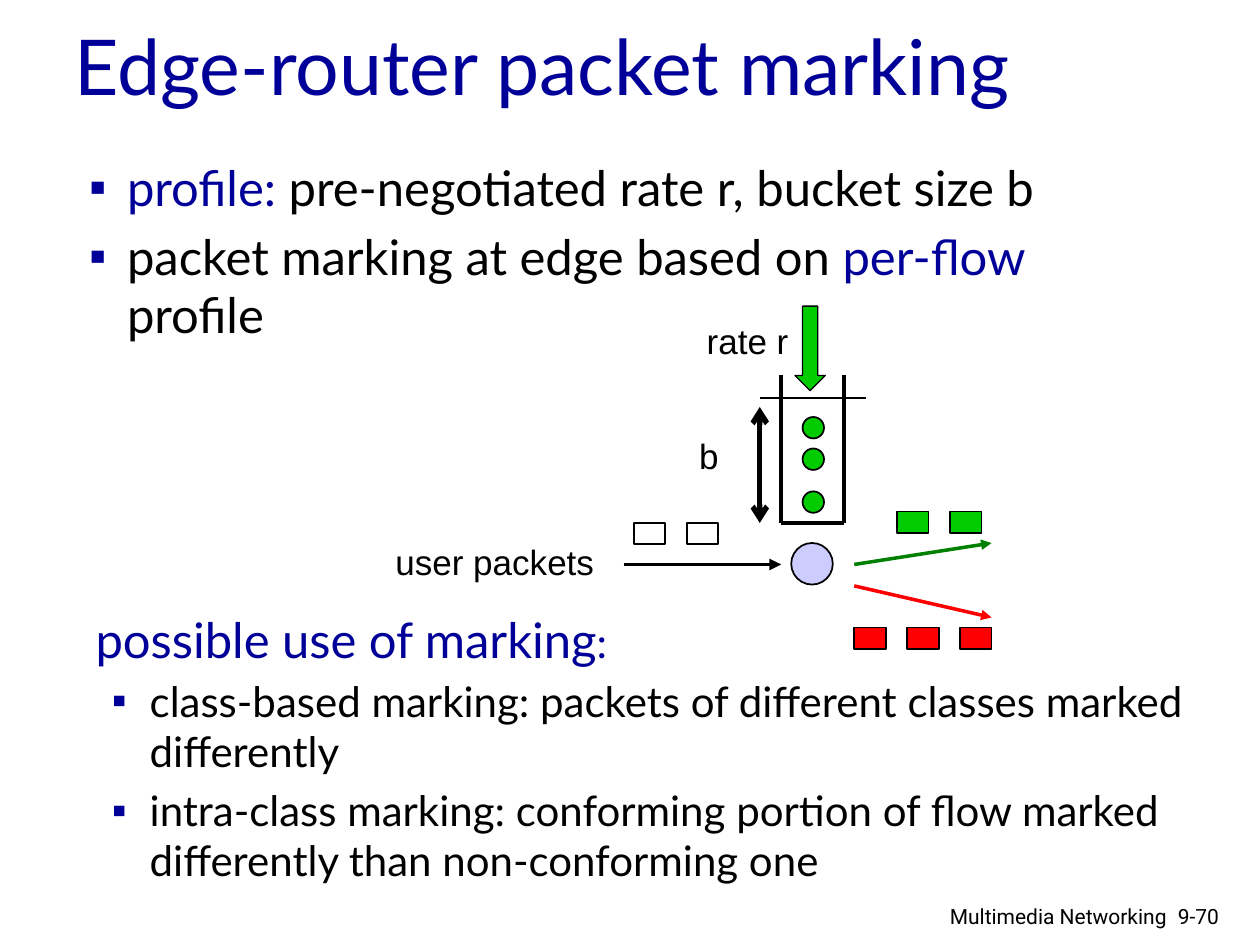
from dataclasses import dataclass

from lxml.etree import SubElement
from pptx import Presentation
from pptx.dml.color import RGBColor
from pptx.enum.shapes import MSO_CONNECTOR, MSO_SHAPE
from pptx.enum.text import MSO_ANCHOR, PP_ALIGN
from pptx.oxml.ns import qn
from pptx.util import Inches, Pt


@dataclass(frozen=True)
class Theme:
    navy: str = "000099"
    black: str = "000000"
    white: str = "FFFFFF"
    green: str = "00CC00"
    dark_green: str = "008000"
    red: str = "FF0000"
    lavender: str = "CCCCFF"
    body_font: str = "Lato"
    label_font: str = "Arial"
    footer_font: str = "Roboto"
    title_size: int = 44
    body_size: int = 28
    detail_size: int = 24
    label_size: int = 20
    footer_size: int = 12


def rgb(color):
    return RGBColor.from_string(color)


class SlideBuilder:
    def __init__(self, slide, theme):
        self.slide = slide
        self.theme = theme

    def style(self, paragraph, font, size, color):
        paragraph.font.name = font
        paragraph.font.size = Pt(size)
        paragraph.font.color.rgb = rgb(color)

    def title(self, text, left, top, width, height):
        shape = self.slide.shapes.title
        shape.left, shape.top = Inches(left), Inches(top)
        shape.width, shape.height = Inches(width), Inches(height)
        shape.text_frame.text = text
        shape.text_frame.vertical_anchor = MSO_ANCHOR.MIDDLE
        paragraph = shape.text_frame.paragraphs[0]
        paragraph.alignment = PP_ALIGN.LEFT
        self.style(paragraph, self.theme.body_font, self.theme.title_size, self.theme.navy)

    def text(self, paragraphs, left, top, width, height, font, size,
             bullets=False, alignment=PP_ALIGN.LEFT):
        """Each paragraph is a list of (text, color) runs."""
        shape = self.slide.shapes.add_textbox(
            Inches(left), Inches(top), Inches(width), Inches(height))
        frame = shape.text_frame
        frame.word_wrap = True
        for index, runs in enumerate(paragraphs):
            paragraph = frame.add_paragraph() if index else frame.paragraphs[0]
            paragraph.alignment = alignment
            self.style(paragraph, font, size, runs[0][1])
            for content, color in runs:
                run = paragraph.add_run()
                run.text = content
                if color != runs[0][1]:
                    run.font.color.rgb = rgb(color)
            if bullets:
                paragraph.space_before = Pt(0.2 * size)
                self.bullet(paragraph)
        return shape

    def bullet(self, paragraph):
        properties = paragraph._p.get_or_add_pPr()
        properties.set("marL", str(Inches(0.3)))
        properties.set("indent", str(-Inches(0.3)))
        # Bullet elements must precede the default run properties
        run_properties = properties.find(qn("a:defRPr"))
        if run_properties is not None:
            properties.remove(run_properties)
        color = SubElement(properties, qn("a:buClr"))
        SubElement(color, qn("a:srgbClr"), val=self.theme.navy)
        SubElement(properties, qn("a:buFont"), typeface=self.theme.label_font)
        SubElement(properties, qn("a:buChar"), char="▪")
        if run_properties is not None:
            properties.append(run_properties)

    def label(self, text, left, top, width, height=0.43):
        self.text([[(text, self.theme.black)]], left, top, width, height,
                  self.theme.label_font, self.theme.label_size)

    def shape(self, kind, left, top, width, height, fill, line_width=1):
        shape = self.slide.shapes.add_shape(
            kind, Inches(left), Inches(top), Inches(width), Inches(height))
        shape.shadow.inherit = False
        shape.fill.solid()
        shape.fill.fore_color.rgb = rgb(fill)
        shape.line.color.rgb = rgb(self.theme.black)
        shape.line.width = Pt(line_width)

    def packets(self, count, left, top, fill):
        for index in range(count):
            self.shape(MSO_SHAPE.RECTANGLE, left + 0.42 * index, top, 0.25, 0.17, fill)

    def line(self, start, end, width, color=None, head=None, tail=None):
        connector = self.slide.shapes.add_connector(
            MSO_CONNECTOR.STRAIGHT, *(Inches(value) for value in (*start, *end)))
        connector.line.color.rgb = rgb(color or self.theme.black)
        connector.line.width = Pt(width)
        outline = connector.line._get_or_add_ln()
        for tag, arrow in (("a:headEnd", head), ("a:tailEnd", tail)):
            if arrow:
                SubElement(outline, qn(tag), type=arrow)
        SubElement(connector._element.spPr, qn("a:effectLst"))


presentation = Presentation()
presentation.slide_width, presentation.slide_height = Inches(10), Inches(7.5)
theme = Theme()
slide = presentation.slides.add_slide(presentation.slide_layouts[5])
builder = SlideBuilder(slide, theme)

# Title and body text
builder.title("Edge-router packet marking", 0.49, 0.14, 8.5, 0.75)
builder.text(
    [[("profile: ", theme.navy), ("pre-negotiated rate r, bucket size b", theme.black)],
     [("packet marking at edge based on ", theme.black), ("per-flow ", theme.navy),
      ("profile", theme.black)]],
    0.61, 1.2, 8.75, 1, theme.body_font, theme.body_size, bullets=True)
uses_heading = builder.text(
    [[("possible use of marking", theme.navy), (":", theme.navy)]],
    0.66, 4.79, 4.92, 0.57, theme.body_font, theme.body_size)
uses_heading.text_frame.paragraphs[0].runs[1].font.size = Pt(theme.detail_size)
builder.text(
    [[("class-based marking: packets of different classes marked differently", theme.black)],
     [("intra-class marking: conforming portion of flow marked differently "
       "than non-conforming one", theme.black)]],
    0.79, 5.31, 9, 2, theme.body_font, theme.detail_size, bullets=True)

# Token bucket
bucket_left, bucket_right, bucket_bottom = 6.2, 6.7, 4.15
for side in (bucket_left, bucket_right):
    builder.line((side, 3.4), (side, bucket_bottom), 2.25)
    builder.line((side, 3.4), (side, 2.98), 2)
builder.line((bucket_left, bucket_bottom), (bucket_right, bucket_bottom), 2.25)
for token_top in (3.31, 3.56, 3.9):
    builder.shape(MSO_SHAPE.OVAL, 6.37, token_top, 0.17, 0.17, theme.green)
builder.shape(MSO_SHAPE.DOWN_ARROW, 6.31, 2.43, 0.24, 0.67, theme.green, 0.75)
builder.line((6.03, 3.16), (6.87, 3.16), 0.75)
builder.line((6.03, 3.23), (6.03, bucket_bottom), 3, head="arrow", tail="arrow")
builder.label("rate r", 5.51, 2.49, 1.25)
builder.label("b", 5.45, 3.4, 0.38)

# Packet flows through the marker
builder.label("user packets", 3.04, 4.24, 2.33)
builder.shape(MSO_SHAPE.OVAL, 6.28, 4.31, 0.33, 0.33, theme.lavender)
builder.packets(2, 5.03, 4.15, theme.white)
builder.packets(2, 7.12, 4.06, theme.green)
builder.packets(3, 6.78, 4.98, theme.red)
builder.line((4.95, 4.48), (6.2, 4.48), 2.25, tail="triangle")
builder.line((6.78, 4.48), (7.87, 4.31), 2, theme.dark_green, tail="triangle")
builder.line((6.78, 4.65), (7.87, 4.9), 2, theme.red, tail="triangle")

# Footer
builder.text([[("Multimedia Networking", theme.black)]], 7.2, 7.12, 2.16, 0.28,
             theme.footer_font, theme.footer_size, alignment=PP_ALIGN.RIGHT)
builder.text([[("9-70", theme.black)]], 9.25, 7.12, 0.75, 0.3,
             theme.footer_font, theme.footer_size)

presentation.save("out.pptx")
